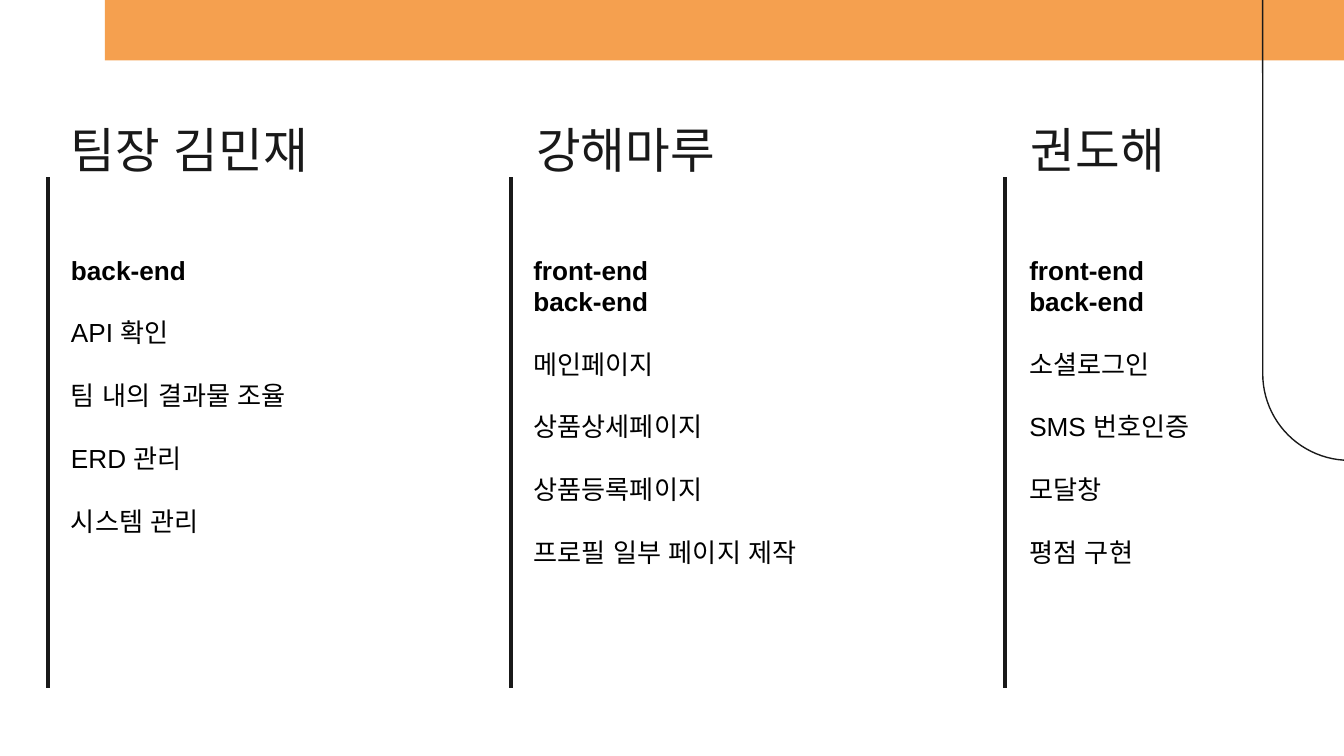
import pptx
import pptx.dml.color
import pptx.enum.shapes
import pptx.enum.text
import pptx.util
from lxml import etree
from pptx.oxml.ns import qn

Inches = pptx.util.Inches
Pt = pptx.util.Pt
RGB = pptx.dml.color.RGBColor
SHAPE = pptx.enum.shapes.MSO_SHAPE

ORANGE = RGB(0xF5, 0xA0, 0x4F)
DARK = RGB(0x19, 0x19, 0x19)
BLACK = RGB(0, 0, 0)
FACE = "Arial"

# rule x, name x, name, list x, list width, list height, roles, tasks
TEAM = [
    (0.36, 0.43, "팀장 김민재", 0.43, 2.14, 2.22, ["back-end"],
     ["API 확인", "팀 내의 결과물 조율", "ERD 관리", "시스템 관리"]),
    (3.8, 3.89, "강해마루", 3.87, 2.36, 2.69, ["front-end", "back-end"],
     ["메인페이지", "상품상세페이지", "상품등록페이지", "프로필 일부 페이지 제작"]),
    (7.48, 7.57, "권도해", 7.56, 2.21, 2.46, ["front-end", "back-end"],
     ["소셜로그인", "SMS 번호인증", "모달창", "평점 구현"]),
]


def write(para, text, size=14, color=BLACK, bold=False, before=0, after=0):
    """Add a run whose font also holds for East Asian text."""
    para.space_before, para.space_after = Pt(before), Pt(after)
    run = para.add_run()
    run.text = text
    font = run.font
    font.name, font.size, font.bold = FACE, Pt(size), bold
    font.color.rgb = color
    for tag in ("a:ea", "a:cs"):
        etree.SubElement(run._r.get_or_add_rPr(), qn(tag), typeface=FACE)


class Deck:
    def __init__(self):
        self.file = pptx.Presentation()
        self.file.slide_width = Inches(10)
        self.file.slide_height = Inches(10 * 9 / 16)
        self.slide = self.file.slides.add_slide(self.file.slide_layouts[6])

    def shape(self, kind, x, y, w, h, fill=None, line=None):
        item = self.slide.shapes.add_shape(
            kind, Inches(x), Inches(y), Inches(w), Inches(h))
        item.shadow.inherit = False
        if fill is None:
            item.fill.background()
        else:
            item.fill.solid()
            item.fill.fore_color.rgb = fill
        if line is None:
            item.line.fill.background()
        else:
            item.line.color.rgb = line
            item.line.width = Pt(0.75)
        return item

    def rule(self, x, top, end):
        line = self.slide.shapes.add_connector(
            pptx.enum.shapes.MSO_CONNECTOR.STRAIGHT,
            Inches(x), Inches(top), Inches(x), Inches(end))
        line.line.color.rgb = DARK
        line.line.width = Pt(2.25)
        etree.SubElement(line._element.spPr, qn("a:effectLst"))

    def box(self, x, y, w, h, pad):
        """Add a wrapped text box with the given top and bottom inset."""
        frame = self.slide.shapes.add_textbox(
            Inches(x), Inches(y), Inches(w), Inches(h)).text_frame
        frame.word_wrap = True
        frame.margin_left = frame.margin_right = Inches(0.1)
        frame.margin_top = frame.margin_bottom = Inches(pad)
        return frame

    def name(self, x, text):
        frame = self.box(x, 0.79, 2.14, 0.53, 0.1)
        write(frame.paragraphs[0], text, size=26, color=DARK, after=12)

    def duties(self, x, w, h, roles, tasks):
        frame = self.box(x, 1.84, w, h, 0.05)
        frame.auto_size = pptx.enum.text.MSO_AUTO_SIZE.SHAPE_TO_FIT_TEXT
        write(frame.paragraphs[0], roles[0], bold=True)
        for role in roles[1:]:
            write(frame.add_paragraph(), role, bold=True)
        for task in tasks:
            write(frame.add_paragraph(), task, before=16.8)


def main():
    deck = Deck()
    deck.shape(SHAPE.RECTANGLE, 0.78, 0, 9.22, 0.45, fill=ORANGE)
    curve = deck.shape(SHAPE.ROUNDED_RECTANGLE, 7.78, 0.52, 4.52, 1.29, line=DARK)
    curve.adjustments[0] = 0.5
    curve.rotation = 90
    for rule, left, name, x, w, h, roles, tasks in TEAM:
        deck.rule(rule, 1.32, 5.12)
        deck.name(left, name)
        deck.duties(x, w, h, roles, tasks)
    deck.file.save("out.pptx")


if __name__ == "__main__":
    main()
